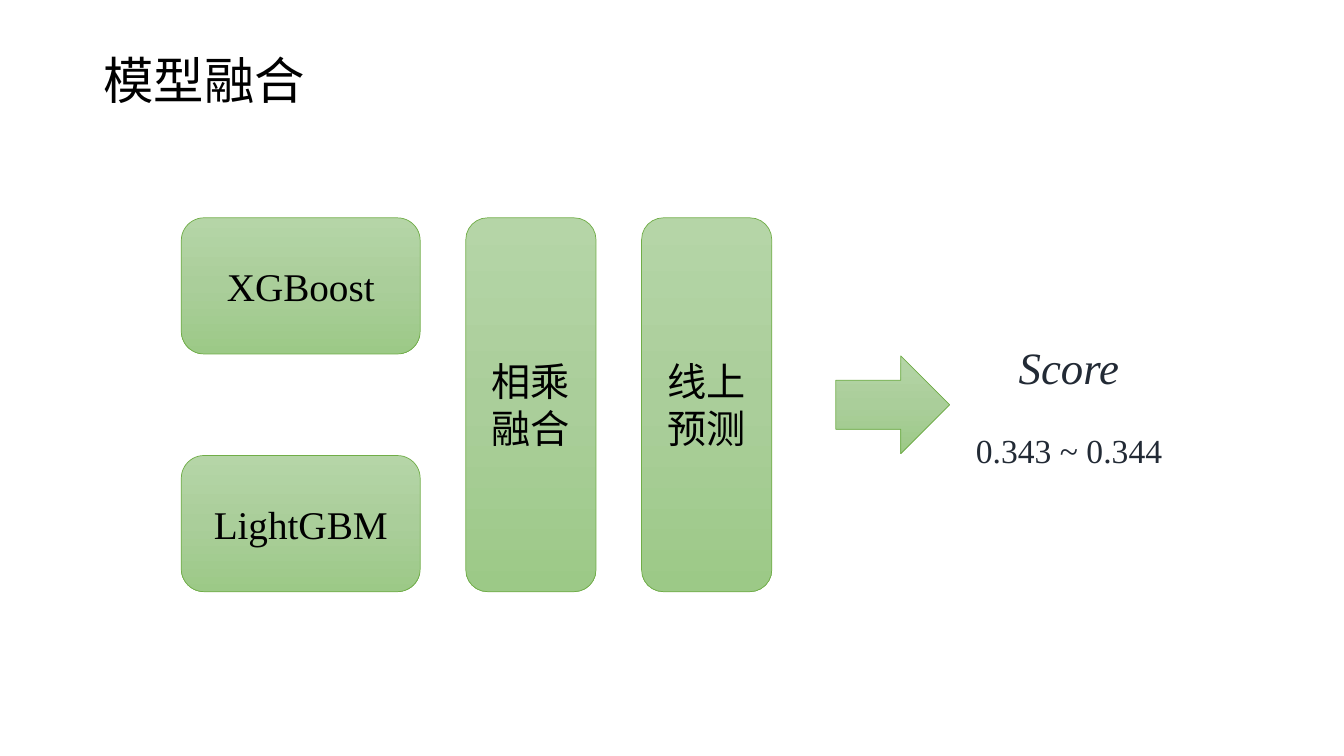
"""Build the model fusion slide."""
from copy import deepcopy

from lxml.etree import SubElement
from pptx import Presentation
from pptx.dml.color import RGBColor
from pptx.enum.shapes import MSO_SHAPE
from pptx.enum.text import MSO_ANCHOR, MSO_AUTO_SIZE, PP_ALIGN
from pptx.oxml.ns import qn
from pptx.util import Cm, Pt

COLORS = {
    "text": "000000",
    "score": "222A35",
    "line": "70AD47",
    "top": "B5D5A7",
    "middle": "AACE9A",
    "bottom": "9CC987",
}
LATIN = "Times New Roman"
CHINESE = "Noto Sans CJK SC"
LEFT, TOP, GAP = 4.57, 5.49, 1.15
MODEL_WIDTH, MODEL_HEIGHT = 6.02, 3.43
STAGE_WIDTH, STAGE_HEIGHT = 3.28, 9.42
SCORE_LEFT, SCORE_WIDTH = 23.93, 6.02


def rgb(name):
    """Return the named colour."""
    return RGBColor.from_string(COLORS[name])


def write_text(frame, text, color="text", align=PP_ALIGN.CENTER, **formats):
    """Write one formatted paragraph into a text frame."""
    frame.word_wrap = True
    para = frame.paragraphs[0]
    para.alignment = align
    span = para.add_run()
    span.text = text
    span.font.color.rgb = rgb(color)
    for key, value in {"name": LATIN, **formats}.items():
        setattr(span.font, key, value)
    SubElement(span.font._element, qn("a:ea"), typeface=CHINESE)


def add_label(page, text, place, **formats):
    """Add a text box that grows with its text."""
    box = page.shapes.add_textbox(*map(Cm, place))
    write_text(box.text_frame, text, **formats)
    box.text_frame.auto_size = MSO_AUTO_SIZE.SHAPE_TO_FIT_TEXT


def add_green_shape(page, kind, place):
    """Add a preset shape with a green vertical gradient."""
    shape = page.shapes.add_shape(kind, *map(Cm, place))
    shape.shadow.inherit = False
    shape.line.color.rgb = rgb("line")
    shape.line.width = Pt(0.5)
    shape.fill.gradient()
    shape.fill.gradient_angle = 270
    stop_list = shape._element.spPr.find(qn("a:gradFill")).find(qn("a:gsLst"))
    stop_list.insert(1, deepcopy(stop_list[0]))
    stops = shape.fill.gradient_stops
    for stop, position, name in zip(stops, (0, 0.5, 1), ("top", "middle", "bottom")):
        stop.position = position
        stop.color.rgb = rgb(name)
    return shape


def add_block(page, text, place, font=LATIN):
    """Add a rounded block with a centred caption."""
    block = add_green_shape(page, MSO_SHAPE.ROUNDED_RECTANGLE, place)
    block.text_frame.vertical_anchor = MSO_ANCHOR.MIDDLE
    write_text(block.text_frame, text, name=font, size=Pt(28))


def main():
    """Build and save the slide."""
    deck = Presentation()
    deck.slide_width, deck.slide_height = Cm(33.87), Cm(19.05)
    page = deck.slides.add_slide(deck.slide_layouts[6])

    add_label(page, "模型融合", (2.36, 1.12, 9.5, 1.78), align=PP_ALIGN.LEFT, size=Pt(36))

    for row, model in enumerate(("XGBoost", "LightGBM")):
        top = TOP + row * (STAGE_HEIGHT - MODEL_HEIGHT)
        add_block(page, model, (LEFT, top, MODEL_WIDTH, MODEL_HEIGHT))

    for column, stage in enumerate(("相乘融合", "线上预测")):
        left = LEFT + MODEL_WIDTH + GAP + column * (STAGE_WIDTH + GAP)
        add_block(page, stage, (left, TOP, STAGE_WIDTH, STAGE_HEIGHT), CHINESE)

    add_label(page, "Score", (SCORE_LEFT, 8.43, SCORE_WIDTH, 1.63),
              color="score", size=Pt(32), italic=True)
    add_label(page, "0.343 ~ 0.344", (SCORE_LEFT, 10.72, SCORE_WIDTH, 1.27),
              color="score", size=Pt(24))
    add_green_shape(page, MSO_SHAPE.RIGHT_ARROW, (21.06, 8.97, 2.87, 2.46))

    deck.save("out.pptx")


if __name__ == "__main__":
    main()
